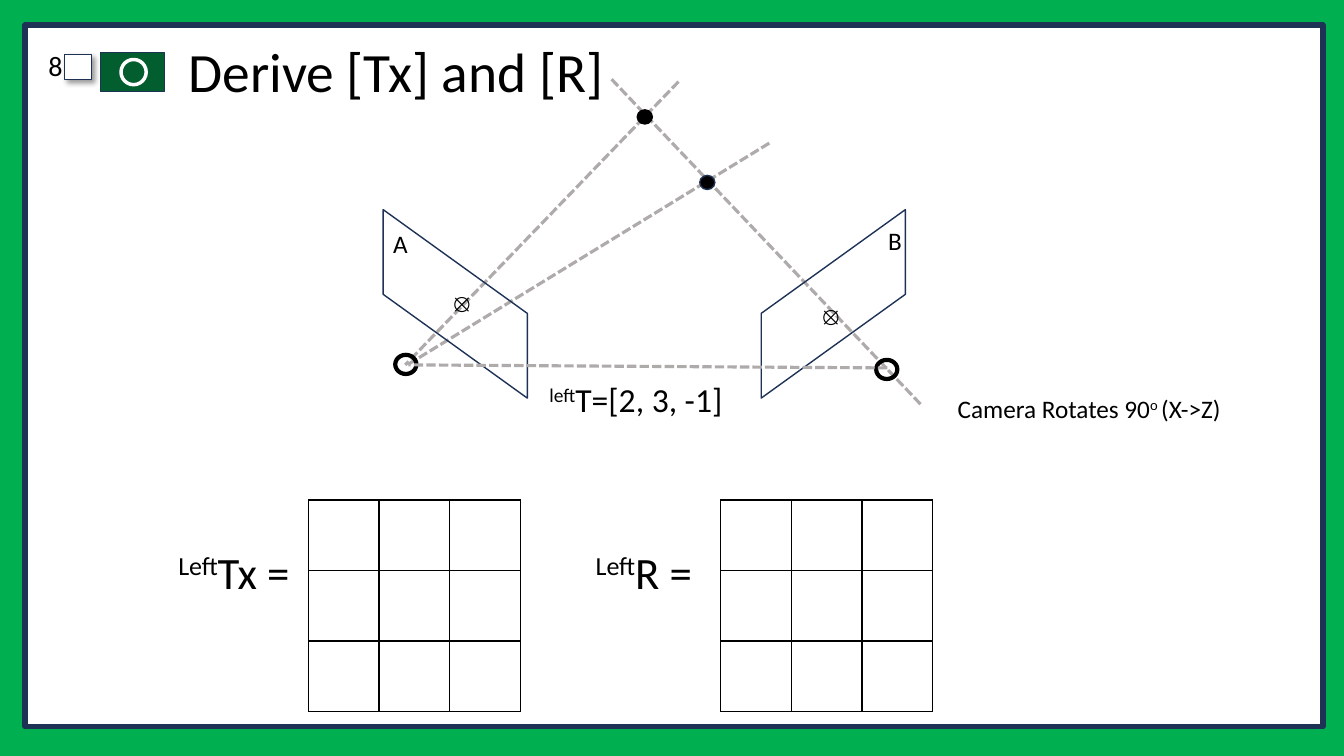
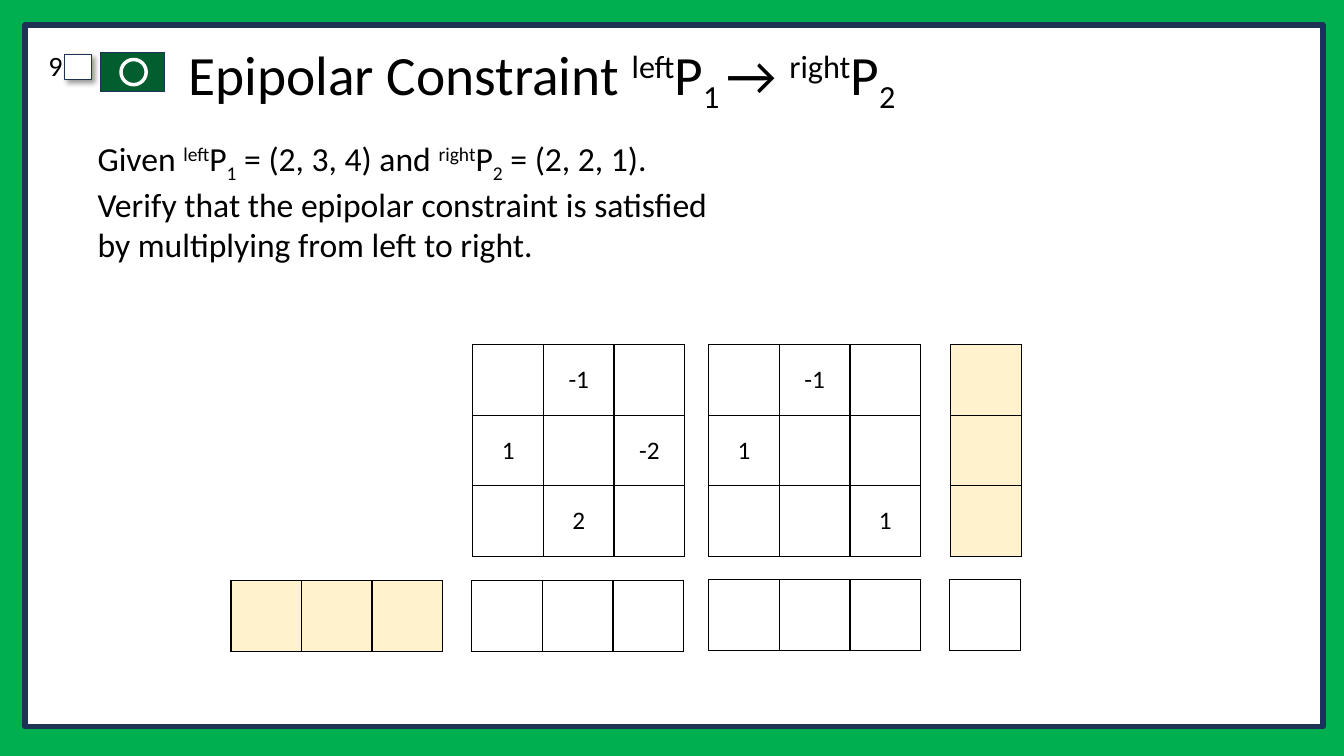
from lxml.etree import SubElement
from pptx import Presentation
from pptx.dml.color import RGBColor
from pptx.enum.dml import MSO_LINE
from pptx.enum.shapes import MSO_CONNECTOR, MSO_SHAPE
from pptx.enum.text import MSO_ANCHOR, PP_ALIGN
from pptx.oxml import parse_xml
from pptx.oxml.ns import nsdecls, qn
from pptx.util import Emu, Pt

PX = 9144  # 100 px to the inch
CELL = 70
SUP, SUB = 30, -25
FONT, SYMBOL_FONT = "Calibri", "Open Sans"
COLORS = {
    "green": "00B050",
    "navy": "1E3256",
    "flag": "035E2F",
    "white": "FFFFFF",
    "black": "000000",
    "ray": "AFABAB",
    "cream": "FFF2CC",
}
LEFT_P1 = [("left", SUP), ("P", 0), ("1", SUB)]
RIGHT_P2 = [("right", SUP), ("P", 0), ("2", SUB)]


def px(n):
    return Emu(n * PX)


def rgb(name):
    return RGBColor.from_string(COLORS[name])


# Elements
def add_shape(s, kind, box, fill=None, line="navy", weight=1):
    sp = s.shapes.add_shape(kind, *map(px, box))
    sp.shadow.inherit = False
    if fill:
        sp.fill.solid()
        sp.fill.fore_color.rgb = rgb(fill)
    else:
        sp.fill.background()
    sp.line.color.rgb = rgb(line)
    sp.line.width = Pt(weight)
    return sp


def add_drop_shadow(sp):
    effects = sp._element.spPr.find(qn("a:effectLst"))
    effects.append(parse_xml(
        f'<a:outerShdw {nsdecls("a")} blurRad="{Pt(4)}" dist="{Pt(3)}" '
        f'dir="{45 * 60000}" algn="tl" rotWithShape="0">'
        f'<a:srgbClr val="{COLORS["black"]}"><a:alpha val="40000"/></a:srgbClr>'
        '</a:outerShdw>'))


def add_runs(p, runs, size, font=FONT):
    """Add (text, baseline percent) pairs to a paragraph."""
    for text, base in runs:
        r = p.add_run()
        r.text = text
        r.font.name = font
        r.font.size = Pt(size)
        r.font.color.rgb = rgb("black")
        if base:
            r._r.get_or_add_rPr().set("baseline", str(base * 1000))


def add_text(s, box, runs, size, font=FONT, wrap=True):
    tf = s.shapes.add_textbox(*map(px, box)).text_frame
    tf.word_wrap = wrap
    add_runs(tf.paragraphs[0], runs, size, font)
    return tf


def add_ray(s, x1, y1, x2, y2):
    ray = s.shapes.add_connector(MSO_CONNECTOR.STRAIGHT, *map(px, (x1, y1, x2, y2)))
    ray.line.color.rgb = rgb("ray")
    ray.line.width = Pt(2.25)
    ray.line.dash_style = MSO_LINE.SQUARE_DOT
    SubElement(ray._element.spPr, qn("a:effectLst"))


def add_image_plane(s, x, angle, mirrored=False):
    sp = add_shape(s, MSO_SHAPE.PARALLELOGRAM, (x, 230, 187, 143))
    sp.adjustments[0] = 0.72
    sp.rotation = angle
    if mirrored:
        sp._element.spPr.xfrm.set("flipH", "1")


def add_borders(cell):
    tcPr = cell._tc.get_or_add_tcPr()
    for side in "LRTB":
        tcPr.append(parse_xml(
            f'<a:ln{side} {nsdecls("a")} w="{Pt(1)}"><a:solidFill>'
            f'<a:srgbClr val="{COLORS["black"]}"/></a:solidFill></a:ln{side}>'))


def add_matrix(s, x, y, rows, cols, values=None, fill=None):
    """Draw a grid of square cells; values maps (row, column) to text."""
    values = values or {}
    table = s.shapes.add_table(
        rows, cols, px(x), px(y), px(cols * CELL), px(rows * CELL)).table
    table.first_row = table.horz_banding = False
    for i in range(rows):
        for j in range(cols):
            cell = table.cell(i, j)
            add_borders(cell)
            if fill:
                cell.fill.solid()
                cell.fill.fore_color.rgb = rgb(fill)
            else:
                cell.fill.background()
            if (i, j) in values:
                cell.vertical_anchor = MSO_ANCHOR.MIDDLE
                p = cell.text_frame.paragraphs[0]
                p.alignment = PP_ALIGN.CENTER
                add_runs(p, [(values[i, j], 0)], 18)


# Shared frame, number and title
def new_slide(prs, number, title):
    s = prs.slides.add_slide(prs.slide_layouts[6])
    s.background.fill.solid()
    s.background.fill.fore_color.rgb = rgb("green")
    add_shape(s, MSO_SHAPE.RECTANGLE, (25, 25, 1287, 696), "white", weight=4)
    add_drop_shadow(add_shape(s, MSO_SHAPE.RECTANGLE, (64, 54, 27, 25), "white"))
    add_shape(s, MSO_SHAPE.RECTANGLE, (100, 52, 63, 39), "flag")
    add_shape(s, MSO_SHAPE.OVAL, (120, 59, 25, 25), "flag", "white", 2.5)

    p = add_text(s, (-2, 47, 74, 45), [(str(number), 0)], 20).paragraphs[0]
    p.alignment = PP_ALIGN.RIGHT
    p.line_spacing = 0.9
    p.space_before = Pt(10)

    tf = add_text(s, (177, 40, 1065, 68), title, 39.6)
    tf.vertical_anchor = MSO_ANCHOR.MIDDLE
    tf.paragraphs[0].line_spacing = 0.9
    return s


def build_derive_slide(prs):
    s = new_slide(prs, 8, [("Derive [Tx] and [R]", 0)])

    # Two-camera geometry
    for ray in ((913, 401, 606, 78), (673, 81, 402, 362), (763, 142, 404, 362)):
        add_ray(s, *ray)
    add_image_plane(s, 358, 90)
    add_image_plane(s, 733, 270, mirrored=True)
    for x, y, line in ((632, 109, "black"), (694, 174, "navy")):
        add_shape(s, MSO_SHAPE.OVAL, (x, y, 15, 14), "black", line)
    for x, y in ((392, 352), (869, 357)):
        add_shape(s, MSO_SHAPE.OVAL, (x, y, 21, 19), line="black", weight=3)
    add_ray(s, 880, 365, 405, 362)

    # Labels
    for x, y in ((440, 279), (806, 292)):
        add_text(s, (x, y, 34, 29), [("⦻", 0)], 18, SYMBOL_FONT)
    add_text(s, (380, 222, 26, 29), [("A", 0)], 18, wrap=False)
    add_text(s, (871, 219, 28, 29), [("B", 0)], 18)
    add_text(s, (535, 371, 215, 50), [("left", SUP), ("T=[2, 3, -1]", 0)], 24)
    add_text(s, (940, 385, 289, 40),
             [("Camera Rotates 90", 0), ("o ", SUP), ("(X->Z)", 0)], 18)

    # Matrices to fill in
    for label_x, name, grid_x in ((167, "Tx =", 306), (581, "R =", 715)):
        add_text(s, (label_x, 535, 150, 64), [("Left", SUP), (name, 0)], 32)
        add_matrix(s, grid_x, 496, 3, 3)


def build_constraint_slide(prs):
    left_p1_sub = LEFT_P1[:-1] + [("1 ", SUB)]
    s = new_slide(prs, 9, [("Epipolar Constraint ", 0), *left_p1_sub,
                           ("→ ", 0), *RIGHT_P2])

    # Task
    add_text(s, (87, 132, 643, 131), [
        ("Given ", 0), *LEFT_P1, (" = (2, 3, 4) and ", 0), *RIGHT_P2,
        (" = (2, 2, 1). Verify that the epipolar constraint is satisfied "
         "by multiplying from left to right.", 0)], 24)

    # Factors
    add_matrix(s, 469, 342, 3, 3,
               {(0, 1): "-1", (1, 0): "1", (1, 2): "-2", (2, 1): "2"})
    add_matrix(s, 703, 342, 3, 3, {(0, 1): "-1", (1, 0): "1", (2, 2): "1"})
    add_matrix(s, 943, 342, 3, 1, fill="cream")

    # Row vector and running products
    add_matrix(s, 229, 576, 1, 3, fill="cream")
    for x, y, cols in ((468, 576, 3), (703, 575, 3), (942, 575, 1)):
        add_matrix(s, x, y, 1, cols)


def main():
    prs = Presentation()
    prs.slide_width, prs.slide_height = px(1333), px(750)
    build_derive_slide(prs)
    build_constraint_slide(prs)
    prs.save("out.pptx")


if __name__ == "__main__":
    main()
